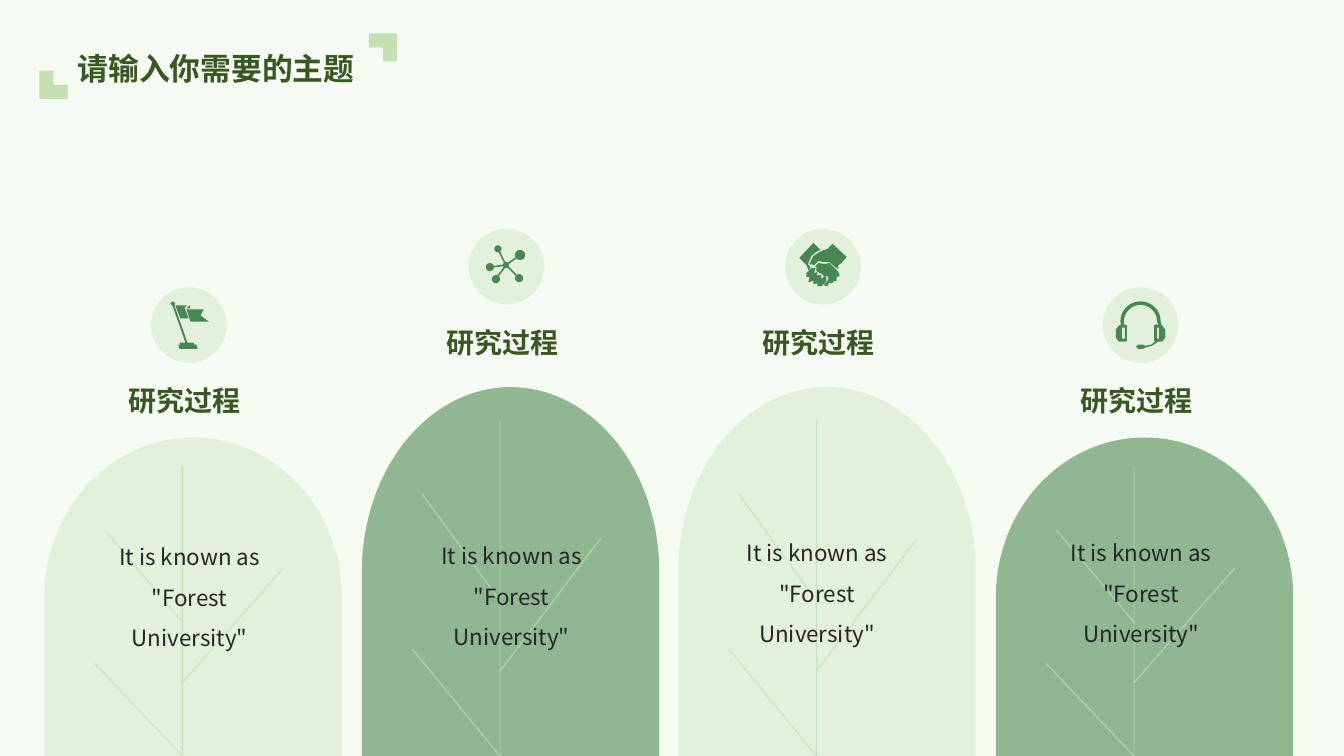
"""Build a slide with four leaf-shaped columns for the steps of a study."""
import math

import lxml.etree
import pptx
import pptx.dml.color
import pptx.enum.shapes
import pptx.enum.text
import pptx.oxml.ns
import pptx.util

PX = 9144
FONT = "Noto Sans CJK SC"
RGBColor = pptx.dml.color.RGBColor
BACKGROUND = RGBColor(0xF5, 0xFA, 0xF3)
PALE = RGBColor(0xE3, 0xF0, 0xDB)
SAGE = RGBColor(0x90, 0xB6, 0x92)
ICON = RGBColor(0x48, 0x87, 0x53)
MARK = RGBColor(0xC5, 0xE0, 0xB4)
TRUNK = RGBColor(0xA9, 0xD1, 0x8E)
HEADING = RGBColor(0x38, 0x57, 0x23)
BODY = RGBColor(0x26, 0x26, 0x26)
SHAPES = pptx.enum.shapes.MSO_SHAPE
ALIGN = pptx.enum.text.PP_ALIGN


def px(*lengths):
    """Turn px into EMU."""
    return [pptx.util.Emu(round(length * PX)) for length in lengths]


def add_xml(parent, tag, **attributes):
    """Append one DrawingML element."""
    return lxml.etree.SubElement(parent, pptx.oxml.ns.qn(tag), attributes)


def write(box, text, size, color, bold=False, align=ALIGN.LEFT, spacing=1.0, margin=None):
    """Fill a box with text, one paragraph a line."""
    frame = box.text_frame
    frame.text = text
    frame.word_wrap = True
    frame.auto_size = pptx.enum.text.MSO_AUTO_SIZE.SHAPE_TO_FIT_TEXT
    frame.vertical_anchor = pptx.enum.text.MSO_ANCHOR.TOP
    if margin is not None:
        frame.margin_left = frame.margin_right = margin
        frame.margin_top = frame.margin_bottom = margin
    for para in frame.paragraphs:
        para.alignment, para.line_spacing = align, spacing
        for span in para.runs:
            span.font.size, span.font.bold = pptx.util.Pt(size), bold
            span.font.name, span.font.color.rgb = FONT, color
            add_xml(span.font._element, "a:ea", typeface=FONT)


def paint(shape, color):
    """Give a shape a plain fill without line or shadow."""
    shape.shadow.inherit = False
    shape.fill.solid()
    shape.fill.fore_color.rgb = color
    shape.line.fill.background()


def add_shape(page, kind, left, top, width, height, color, rotation=0):
    """Add a plain preset shape."""
    shape = page.shapes.add_shape(kind, *px(left, top, width, height))
    shape.rotation = rotation
    paint(shape, color)


def add_vein(page, start, end, color, opacity):
    """Add one translucent leaf vein."""
    straight = pptx.enum.shapes.MSO_CONNECTOR.STRAIGHT
    vein = page.shapes.add_connector(straight, *px(*start, *end))
    vein.line.width = pptx.util.Pt(1)
    vein.line.color.rgb = color
    fill = vein.line._ln.find(".//" + pptx.oxml.ns.qn("a:srgbClr"))
    add_xml(fill, "a:alpha", val=str(opacity * 1000))
    add_xml(vein._element.spPr, "a:effectLst")


def arc(x, y, radius, start, end, steps=18):
    """Return points along a circular arc."""
    angles = [start + (end - start) * step / steps for step in range(steps + 1)]
    return [(x + radius * math.cos(a), y + radius * math.sin(a)) for a in angles]


def network_outline():
    """Return the outline of a hub with five linked nodes."""
    hub_x, hub_y = 37, 36
    outline = []
    for x, y, radius in [(51, 26, 5), (50, 49, 4), (27, 50, 4), (21, 38, 4), (29, 20, 3.5)]:
        angle = math.atan2(y - hub_y, x - hub_x)
        gap = 0.8 / radius
        outline += arc(hub_x, hub_y, 3, angle - 0.6, angle - 0.27, 2)
        outline += arc(x, y, radius, angle - math.pi + gap, angle + math.pi - gap)
        outline += arc(hub_x, hub_y, 3, angle + 0.27, angle + 0.6, 2)
    return outline


FLAG = [
    [(45, 57), (46, 61), (28, 61), (27, 57), (29, 57), (28, 55), (34, 55), (21, 18),
     (19, 16), (21, 14), (24, 16), (23, 18), (36, 55), (42, 55), (43, 57)],
    [(37, 31), (33, 20), (36, 18), (24, 18), (29, 31)],
    [(35, 22), (39, 34), (57, 34), (49, 28), (52, 22)],
    [(39, 21), (38, 18), (35, 21)],
]
HANDSHAKE = [
    [(20, 35), (18, 33), (14, 29), (28, 14), (35, 21), (31, 23), (26, 27), (23, 34),
     (23, 36), (25, 38), (25, 39), (23, 41), (22, 38), (21, 36)],
    [(44, 34), (39, 35), (33, 34), (30, 37), (29, 37), (31, 38), (31, 42), (33, 43),
     (34, 44), (37, 45), (38, 47), (42, 47), (43, 50), (41, 53), (38, 56), (42, 57),
     (43, 54), (47, 54), (48, 52), (51, 52), (51, 48), (54, 47), (53, 43)],
    [(41, 48), (39, 47), (37, 49), (36, 50), (36, 46), (33, 46), (32, 47), (32, 43),
     (28, 44), (29, 43), (30, 39), (26, 39), (21, 44), (21, 48), (24, 48), (24, 49),
     (23, 53), (27, 52), (28, 51), (28, 55), (32, 54), (32, 53), (32, 57), (36, 57),
     (41, 52)],
    [(47, 15), (42, 20), (36, 22), (28, 27), (24, 35), (29, 36), (33, 32), (38, 33),
     (44, 33), (52, 40), (53, 36), (56, 34), (61, 28)],
]
HEADSET = [
    [(58, 37), *arc(37.5, 34, 20, 0, -math.pi), (18, 37), (16, 38), (13, 42), (13, 50),
     (16, 54), (23, 54), (24, 53), (24, 38), (23, 37), (21, 37),
     *arc(37.5, 34, 16.5, -math.pi, 0), (55, 37), (52, 37), (51, 38), (51, 53),
     (52, 54), (48, 57), (42, 58), (40, 57), (35, 57), (33, 59), (35, 61), (40, 61),
     (42, 60), (49, 58), (55, 54), (59, 54), (62, 50), (62, 42), (59, 38)],
    [(22, 51), (19, 51), (19, 40), (22, 40)],
    [(56, 51), (54, 51), (54, 40), (56, 40)],
]


def add_icon(page, left, top, contours):
    """Draw an icon on its round badge."""
    add_shape(page, SHAPES.OVAL, left, top, 75, 75, PALE)
    placed = [[px(left + x, top + y) for x, y in contour] for contour in contours]
    builder = page.shapes.build_freeform(*placed[0][0], scale=1.0)
    builder.add_line_segments(placed[0][1:], close=True)
    for contour in placed[1:]:
        builder.move_to(*contour[0])
        builder.add_line_segments(contour[1:], close=True)
    paint(builder.convert_to_shape(), ICON)


def add_leaf(page, left, top, width, height, color):
    """Draw an arch with its trunk and three veins."""
    add_shape(page, SHAPES.FLOWCHART_DELAY, left + (width - height) / 2,
              top + (height - width) / 2, height, width, color, 270)
    trunk = left + 137
    opacity = 80 if color == SAGE else 46
    add_vein(page, (trunk, top + 0.09 * height), (trunk, top + height), TRUNK, opacity)
    for offset, start, end in [(60, 0.29, 0.58), (237, 0.41, 0.77), (50, 0.71, 1)]:
        add_vein(page, (left + offset, top + start * height),
                 (trunk, top + end * height), MARK, 58)


def add_column(page, left, tall, color, contours, body):
    """Place the icon, label, leaf and text of one step."""
    icon_top, leaf_top = (227, 384) if tall else (285, 434)
    add_icon(page, left + 106, icon_top, contours)
    label = page.shapes.add_textbox(*px(left + 74, icon_top + 84, 137, 50))
    write(label, "研究过程", 20, HEADING, bold=True, spacing=1.2)
    add_leaf(page, left, leaf_top, 295, 750 - leaf_top, color)
    offset, top, width = body
    text = page.shapes.add_textbox(*px(left + offset, top, width, 121))
    write(text, 'It is known as "Forest\nUniversity"', 16, BODY,
          align=ALIGN.CENTER, spacing=1.5, margin=0)


def add_title(page, left, top, width, height):
    """Place the title between two corner marks."""
    title = page.shapes.title
    title.left, title.top, title.width, title.height = px(left + 28, top + 11, 317, 47)
    write(title, "请输入你需要的主题", 22, HEADING, bold=True)
    size = 28
    corner = SHAPES.from_xml("corner")
    add_shape(page, corner, left, top + height - size, size, size, MARK)
    add_shape(page, corner, left + width - size, top, size, size, MARK, 180)


def main():
    """Build and save the deck."""
    deck = pptx.Presentation()
    deck.slide_width, deck.slide_height = px(4000 / 3, 750)
    page = deck.slides.add_slide(deck.slide_layouts[5])
    page.background.fill.solid()
    page.background.fill.fore_color.rgb = BACKGROUND
    add_title(page, 39, 33, 355, 65)
    columns = [
        (False, PALE, FLAG, (60, 526, 168)),
        (True, SAGE, [network_outline()], (61, 525, 175)),
        (True, PALE, HANDSHAKE, (50, 522, 175)),
        (False, SAGE, HEADSET, (60, 522, 168)),
    ]
    for index, column in enumerate(columns):
        add_column(page, round(44 + index * 944 / 3), *column)
    deck.save("out.pptx")


if __name__ == "__main__":
    main()
